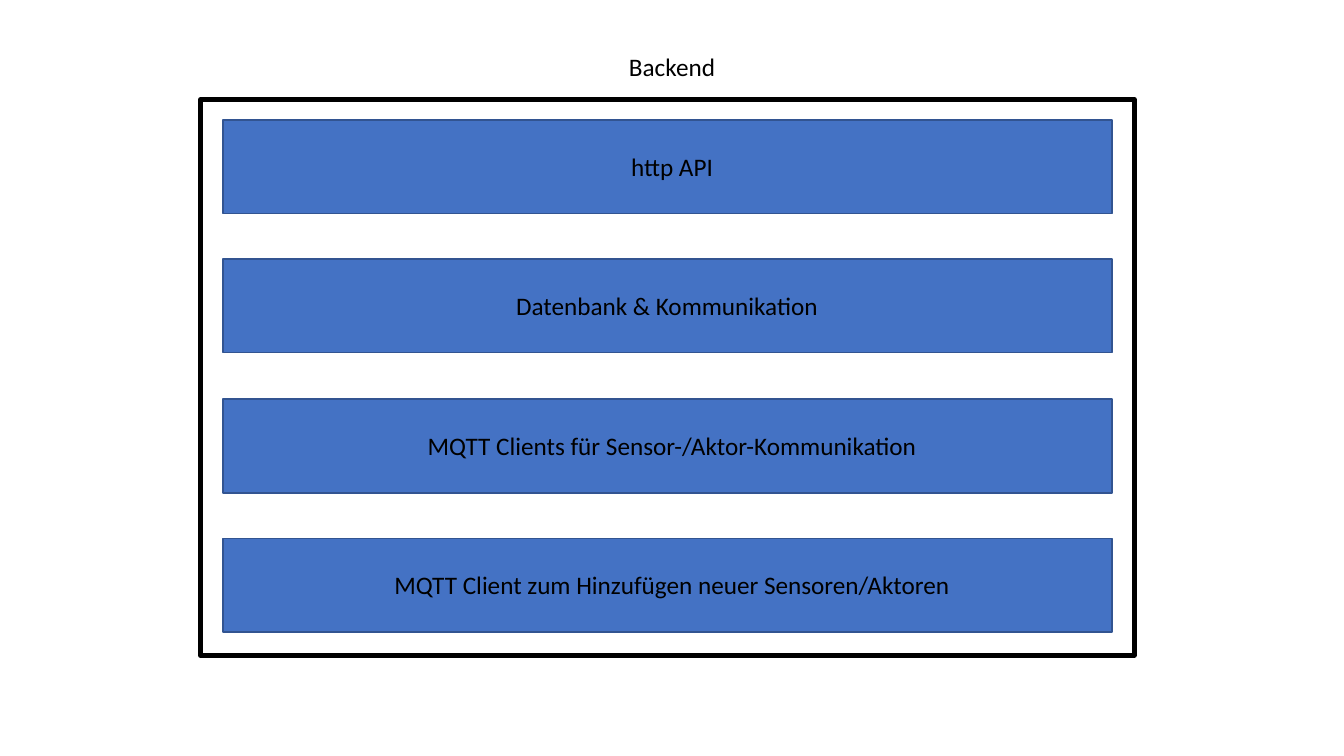
from pptx import Presentation
from pptx.dml.color import RGBColor
from pptx.enum.shapes import MSO_SHAPE
from pptx.enum.text import MSO_AUTO_SIZE, PP_ALIGN
from pptx.util import Pt

EMU_PER_PX = 9144  # 100 px to the inch
COLORS = {"paper": "FFFFFF", "ink": "000000", "layer": "4472C4", "layer_edge": "325491"}
LABEL_FRAME = {"word_wrap": True, "auto_size": MSO_AUTO_SIZE.SHAPE_TO_FIT_TEXT}
LABEL_FONT = {"name": "Calibri", "size": Pt(18)}
LABEL_HEIGHT = 40

# Each layer's wording and the left inset of its label
LAYERS = [
    ("http API", 128),
    ("Datenbank & Kommunikation", 123),
    ("MQTT Clients für Sensor-/Aktor-Kommunikation", 128),
    ("MQTT Client zum Hinzufügen neuer Sensoren/Aktoren", 128),
]


def emu(*lengths):
    return [round(length * EMU_PER_PX) for length in lengths]


def rgb(name):
    return RGBColor.from_string(COLORS[name])


def apply_format(target, values):
    for attribute, value in values.items():
        setattr(target, attribute, value)


def add_box(slide, box, fill, edge, edge_width):
    rectangle = slide.shapes.add_shape(MSO_SHAPE.RECTANGLE, *emu(*box))
    rectangle.shadow.inherit = False
    rectangle.fill.solid()
    rectangle.fill.fore_color.rgb = rgb(fill)
    rectangle.line.color.rgb = rgb(edge)
    rectangle.line.width = Pt(edge_width)


def add_label(slide, left, top, width, wording):
    label = slide.shapes.add_textbox(*emu(left, top, width, LABEL_HEIGHT))
    apply_format(label.text_frame, LABEL_FRAME)
    paragraph = label.text_frame.paragraphs[0]
    paragraph.alignment = PP_ALIGN.CENTER
    run = paragraph.add_run()
    run.text = wording
    apply_format(run.font, LABEL_FONT)
    run.font.color.rgb = rgb("ink")


def add_layers(slide, left, top, width, height):
    """Spread the layers evenly over the box, first at its top, last at its bottom."""
    layer_height = 93
    pitch = (height - layer_height) / (len(LAYERS) - 1)
    for index, (wording, inset) in enumerate(LAYERS):
        layer_top = top + round(index * pitch)
        add_box(slide, (left, layer_top, width, layer_height), "layer", "layer_edge", 1)
        add_label(slide, left + inset, layer_top + 26, 635, wording)


def add_backend(slide, left, top, width, height):
    add_box(slide, (left, top, width, height), "paper", "ink", 3.75)
    add_label(slide, left + 333, top - 53, 269, "Backend")
    add_layers(slide, left + 22, top + 20, width - 44, height - 43)


def main():
    presentation = Presentation()
    presentation.slide_width, presentation.slide_height = emu(1333, 750)
    slide = presentation.slides.add_slide(presentation.slide_layouts[6])
    add_backend(slide, 199, 99, 926, 551)
    presentation.save("out.pptx")


if __name__ == "__main__":
    main()
